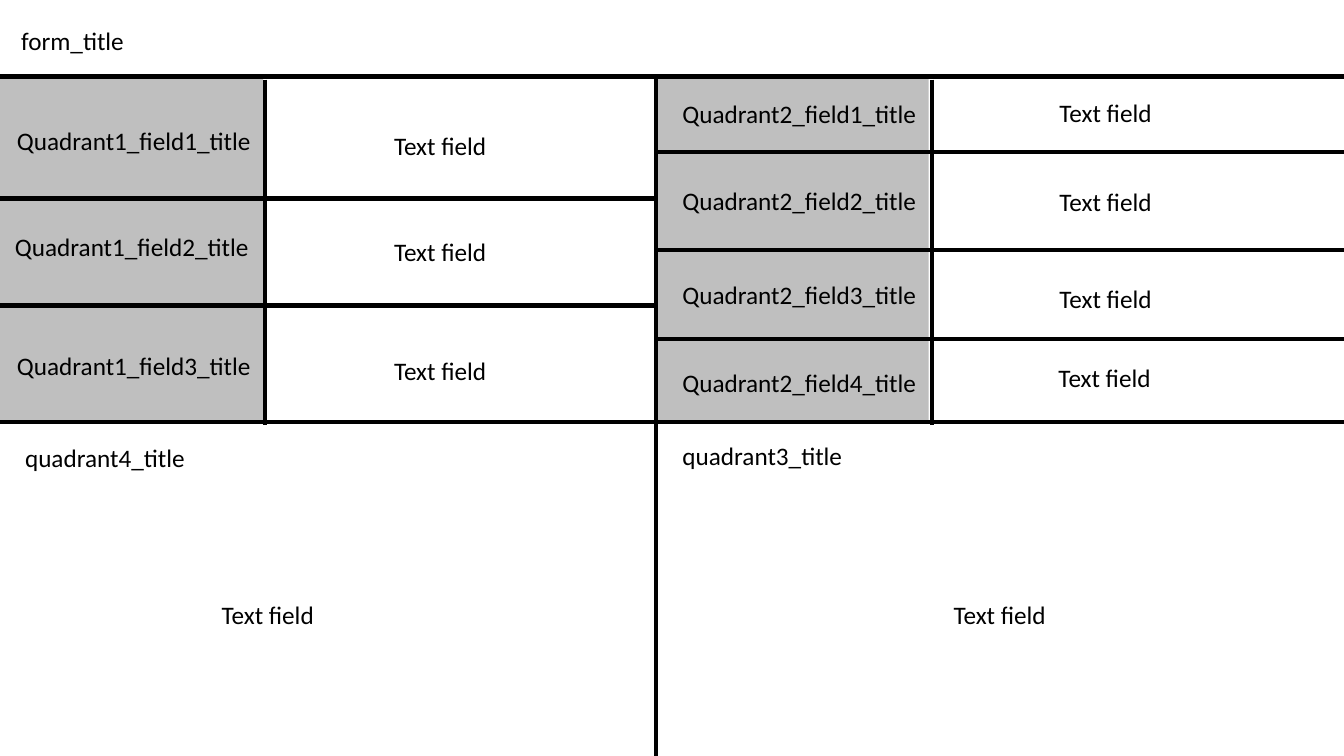
import pptx
import pptx.dml.color
import pptx.enum.shapes
import pptx.enum.text
import pptx.oxml.ns
import pptx.util
import lxml.etree
from pptx.util import Inches


def color(hex_value):
    return pptx.dml.color.RGBColor.from_string(hex_value)


class FormSlide:
    font = "Calibri"
    size = 18
    ink = "000000"
    label_fill = "BFBFBF"
    rule_width = 3

    def __init__(self, deck):
        self.slide = deck.slides.add_slide(deck.slide_layouts[5])

    def set_text(self, shape, text, left, top, width, height=0.4):
        shape.left, shape.top = Inches(left), Inches(top)
        shape.width, shape.height = Inches(width), Inches(height)
        frame = shape.text_frame
        frame.word_wrap = False
        frame.auto_size = pptx.enum.text.MSO_AUTO_SIZE.SHAPE_TO_FIT_TEXT
        frame.vertical_anchor = pptx.enum.text.MSO_ANCHOR.TOP
        paragraph = frame.paragraphs[0]
        paragraph.alignment = pptx.enum.text.PP_ALIGN.LEFT
        run = paragraph.add_run()
        run.text = text
        run.font.name = self.font
        run.font.size = pptx.util.Pt(self.size)
        run.font.color.rgb = color(self.ink)

    def title(self, text, left, top, width):
        self.set_text(self.slide.shapes.title, text, left, top, width)

    def text(self, text, left, top, width):
        box = self.slide.shapes.add_textbox(0, 0, 0, 0)
        self.set_text(box, text, left, top, width)

    def panel(self, left, top, width, height):
        panel = self.slide.shapes.add_shape(
            pptx.enum.shapes.MSO_SHAPE.RECTANGLE,
            Inches(left), Inches(top), Inches(width), Inches(height))
        panel.shadow.inherit = False
        panel.fill.solid()
        panel.fill.fore_color.rgb = color(self.label_fill)
        panel.line.fill.background()

    def rule(self, x1, y1, x2, y2):
        rule = self.slide.shapes.add_connector(
            pptx.enum.shapes.MSO_CONNECTOR.STRAIGHT,
            Inches(x1), Inches(y1), Inches(x2), Inches(y2))
        rule.line.color.rgb = color(self.ink)
        rule.line.width = pptx.util.Pt(self.rule_width)
        properties = rule._element.spPr
        lxml.etree.SubElement(properties, pptx.oxml.ns.qn("a:effectLst"))


WIDTH, HEIGHT = 13.33, 7.5
HEADER, MIDDLE, CENTER = 0.76, 4.19, 6.51
TITLE_WIDTH, FIELD_WIDTH, HEADING_WIDTH = 2.55, 1.13, 1.81

QUADRANTS = [
    {"name": "Quadrant1", "left": 0, "right": CENTER,
     "label_width": 2.61, "divider": 2.63, "row_rules": [1.97, 3.03],
     "titles": [(0.07, 1.19), (0.05, 2.25), (0.07, 3.43)],
     "fields": [(3.81, 1.24), (3.81, 2.3), (3.81, 3.48)]},
    {"name": "Quadrant2", "left": CENTER, "right": WIDTH,
     "label_width": 2.7, "divider": 9.24, "row_rules": [1.51, 2.48, 3.36],
     "titles": [(6.67, 0.93), (6.67, 1.79), (6.67, 2.72), (6.67, 3.59)],
     "fields": [(10.41, 0.92), (10.41, 1.8), (10.41, 2.76), (10.4, 3.55)]},
]

LOWER_QUADRANTS = [
    ("quadrant4_title", (0.15, 4.34), (2.1, 5.9)),
    ("quadrant3_title", (6.67, 4.32), (9.36, 5.9)),
]


def main():
    deck = pptx.Presentation()
    deck.slide_width, deck.slide_height = Inches(WIDTH), Inches(HEIGHT)
    form = FormSlide(deck)
    form.title("form_title", 0.11, 0.2, 1.23)

    for quadrant in QUADRANTS:
        form.panel(quadrant["left"], HEADER,
                   quadrant["label_width"], MIDDLE - HEADER)

    for y in (HEADER, MIDDLE):
        form.rule(0, y, WIDTH, y)
    form.rule(CENTER, HEADER, CENTER, HEIGHT)

    for quadrant in QUADRANTS:
        divider = quadrant["divider"]
        form.rule(divider, HEADER + 0.03, divider, MIDDLE + 0.03)
        for y in quadrant["row_rules"]:
            form.rule(quadrant["left"], y, quadrant["right"], y)
        rows = zip(quadrant["titles"], quadrant["fields"])
        for number, (title_at, field_at) in enumerate(rows, 1):
            form.text(f"{quadrant['name']}_field{number}_title",
                      *title_at, TITLE_WIDTH)
            form.text("Text field", *field_at, FIELD_WIDTH)

    for heading, heading_at, field_at in LOWER_QUADRANTS:
        form.text(heading, *heading_at, HEADING_WIDTH)
        form.text("Text field", *field_at, FIELD_WIDTH)

    deck.save("out.pptx")


if __name__ == "__main__":
    main()
